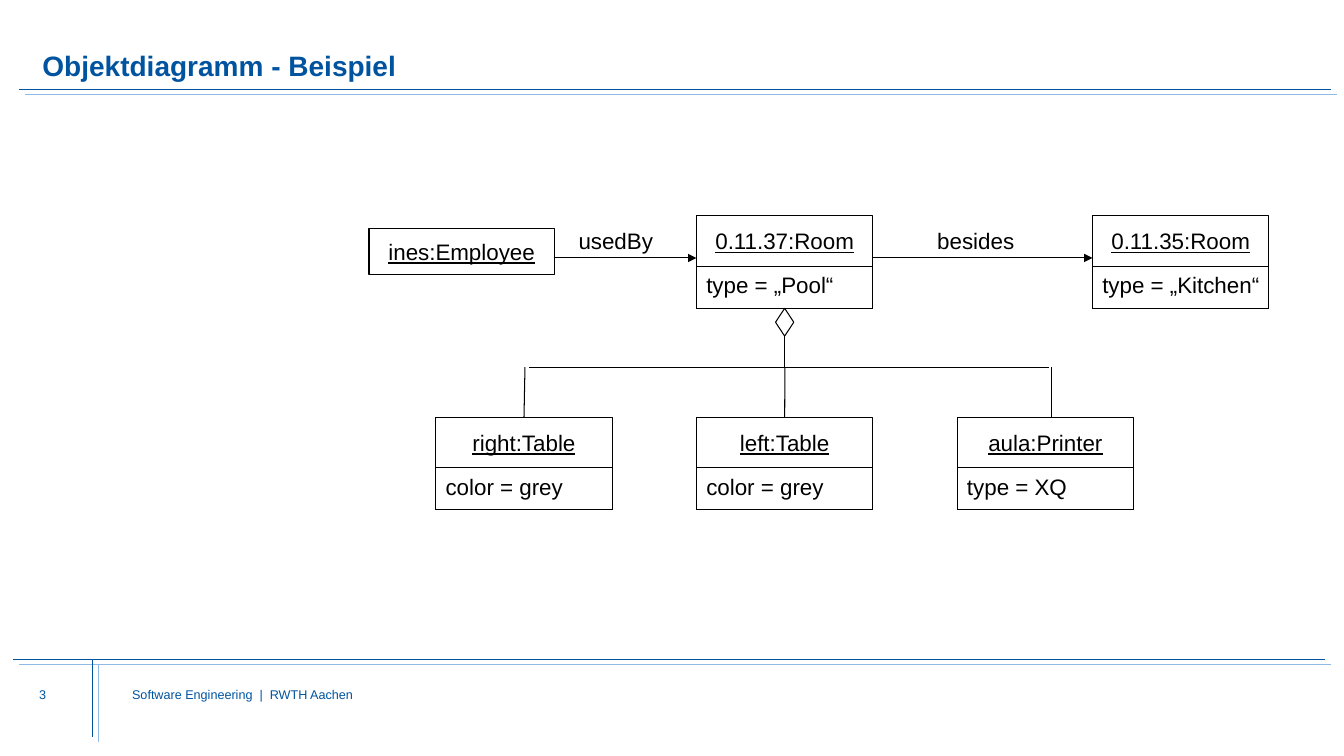
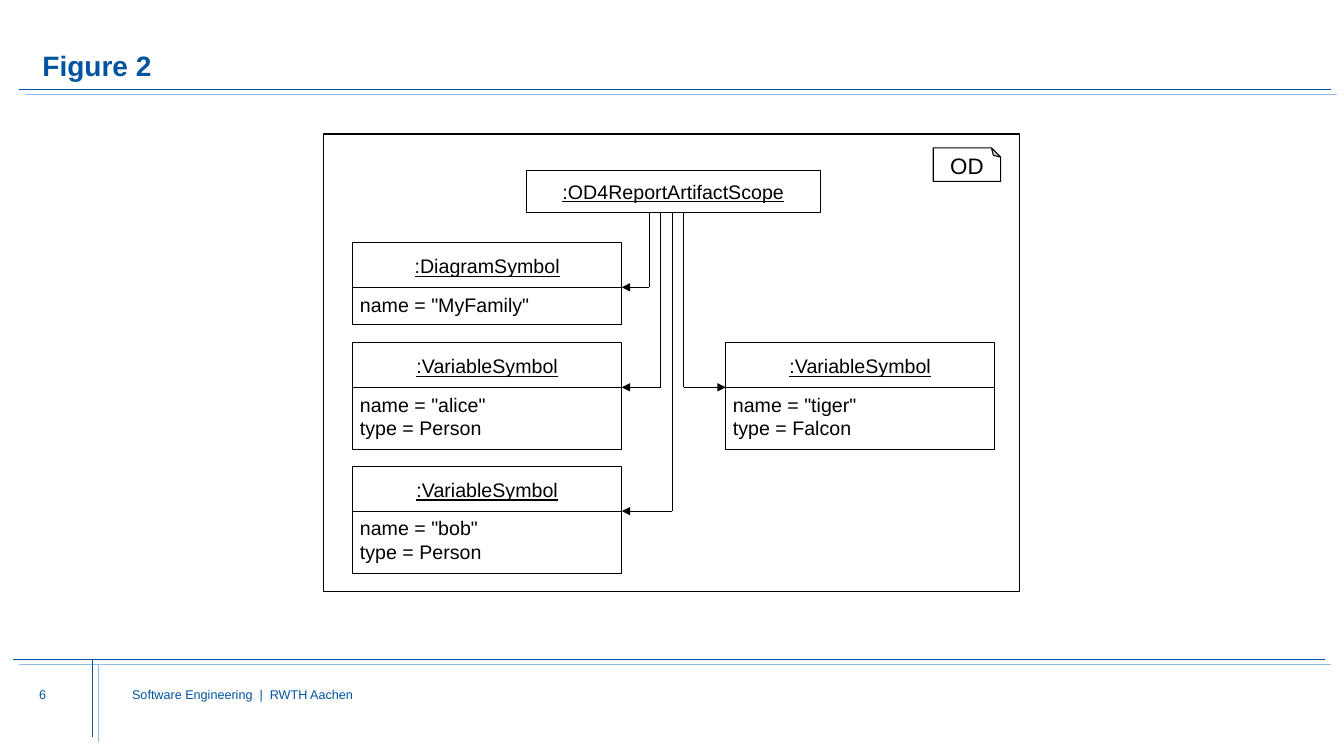
from pptx import Presentation
from pptx.dml.color import RGBColor
from pptx.enum import shapes as kinds, text as txt
from pptx.oxml.ns import qn
from pptx.util import Cm, Pt
from lxml import etree

BLUE = RGBColor(0x00, 0x54, 0x9F)
LIGHT_BLUE = RGBColor(0x8E, 0xBA, 0xE5)
BLACK = RGBColor(0, 0, 0)
WHITE = RGBColor(255, 255, 255)
FONT = "Arial"

# Shared content, all lengths in cm
FOOTER = "Software Engineering  |  RWTH Aachen"
RULES = [(0.48, 2.26, 33.55, 2.26), (0.33, 16.61, 33.38, 16.61),
         (2.34, 16.61, 2.34, 18.57)]
ECHO_X, ECHO_Y = 0.15, 0.13

# Slide 1: rooms, their parts and their links
ROOM_W, ROOM_HEAD, ROOM_BODY = 4.45, 1.27, 1.06
POOL_X, ROOM_Y, PART_Y, PART_PITCH = 17.55, 5.44, 10.52, 6.57
KITCHEN_X = 27.53
EMPLOYEE = ("ines:Employee", 9.3, 5.77, 4.67, 1.14)
ROOMS = [("0.11.37:Room", "type = „Pool“", POOL_X),
         ("0.11.35:Room", "type = „Kitchen“", KITCHEN_X)]
PARTS = [("right:Table", "color = grey", 13.23),
         ("left:Table", "color = grey", 19.78),
         ("aula:Printer", "type = XQ", 26.49)]  # last value: x of the stem
ASSOCIATIONS = [("usedBy", 14.33, 13.97, POOL_X),
                ("besides", 23.37, POOL_X + ROOM_W, KITCHEN_X)]
LINK_Y, LABEL_Y, BRANCH_Y = 6.5, 5.61, 9.25
BRANCH_LEFT, BRANCH_RIGHT = 13.34, 26.44
DIAMOND_W, DIAMOND_H = 0.46, 0.7

# Slide 2: scope and its symbols
FRAME = (8.15, 3.38, 17.55, 11.53)
SCOPE = (":OD4ReportArtifactScope", 13.26, 4.29, 7.42, 1.07)
NOTE = ("OD", 23.52, 3.73, 1.7, 0.84)
SYMBOL_W, SYMBOL_HEAD = 6.78, 1.12
LEFT_X, RIGHT_X = 8.89, 18.29
SYMBOLS = [
    (":DiagramSymbol", ['name = "MyFamily"'], LEFT_X, 6.12, 0.94),
    (":VariableSymbol", ['name = "alice"', "type = Person"], LEFT_X, 8.64, 1.57),
    (":VariableSymbol", ['name = "bob"', "type = Person"], LEFT_X, 11.76, 1.57),
    (":VariableSymbol", ['name = "tiger"', "type = Falcon"], RIGHT_X, 8.64, 1.57),
]
WIRE_X, WIRE_PITCH = 16.36, 0.29


# Drawing helpers
def write(frame, lines, size, color=BLACK, align=txt.PP_ALIGN.LEFT,
          underline=None, bold=None, spacing=None):
    for i, line_text in enumerate(lines):
        para = frame.paragraphs[0] if i == 0 else frame.add_paragraph()
        para.alignment = align
        if spacing:
            para.line_spacing = spacing
        run = para.add_run()
        run.text = line_text
        font = run.font
        font.name, font.size, font.color.rgb = FONT, Pt(size), color
        font.underline, font.bold = underline, bold


def set_insets(frame, left, top, right=0, bottom=0):
    frame.margin_left, frame.margin_top = Cm(left), Cm(top)
    frame.margin_right, frame.margin_bottom = Cm(right), Cm(bottom)


def outline(slide, x, y, w, h, kind=kinds.MSO_SHAPE.RECTANGLE, width=0.75):
    shape = slide.shapes.add_shape(kind, Cm(x), Cm(y), Cm(w), Cm(h))
    shape.shadow.inherit = False
    shape.fill.background()
    shape.line.color.rgb, shape.line.width = BLACK, Pt(width)
    return shape


def line(slide, x1, y1, x2, y2, color=BLACK, width=0.75, arrow=False):
    wire = slide.shapes.add_connector(kinds.MSO_CONNECTOR.STRAIGHT,
                                      Cm(x1), Cm(y1), Cm(x2), Cm(y2))
    wire.line.color.rgb, wire.line.width = color, Pt(width)
    if arrow:
        etree.SubElement(wire.line._get_or_add_ln(), qn("a:tailEnd"), type="triangle")
    etree.SubElement(wire._element.spPr, qn("a:effectLst"))
    return wire


def label(slide, words, x, y, w, h, size, color=BLACK, inset=None):
    box = slide.shapes.add_textbox(Cm(x), Cm(y), Cm(w), Cm(h))
    box.text_frame.word_wrap = True
    if inset is not None:
        set_insets(box.text_frame, inset, inset)
    write(box.text_frame, [words], size, color)
    return box


def uml_object(slide, name, x, y, w, head, size, attributes=(), body=0, inset=0.25):
    """Draw an object box, with an attribute compartment if it has attributes."""
    card = outline(slide, x, y, w, head + body)
    frame = card.text_frame
    frame.word_wrap = True
    set_insets(frame, 0, 0.29 if attributes else 0)
    frame.vertical_anchor = (txt.MSO_ANCHOR.TOP if attributes
                             else txt.MSO_ANCHOR.MIDDLE)
    write(frame, [name], size, align=txt.PP_ALIGN.CENTER, underline=True)
    if attributes:
        frame = outline(slide, x, y + head, w, body).text_frame
        frame.word_wrap = True
        set_insets(frame, inset, 0.13)
        frame.vertical_anchor = txt.MSO_ANCHOR.TOP
        write(frame, attributes, size)
    return card


# Shared layout
def furnish_layout(layout, slide):
    """Draw rules and footer on the slide, then move them to its layout."""
    parts = []
    for x1, y1, x2, y2 in RULES:
        parts.append(line(slide, x1, y1, x2, y2, BLUE, 0.5))
        parts.append(line(slide, x1 + ECHO_X, y1 + ECHO_Y, x2 + ECHO_X,
                          y2 + ECHO_Y, LIGHT_BLUE, 0.5))
    parts.append(label(slide, FOOTER, 3.33, 17.3, 19.46, 1.75, 9, BLUE, inset=0))
    for number, part in enumerate(parts, 100):
        next(part._element.iter(qn("p:cNvPr"))).set("id", str(number))
        layout.shapes._spTree.append(part._element)


def new_slide(deck, heading, number):
    slide = deck.slides.add_slide(deck.slide_layouts[5])
    title = slide.shapes.title
    title.left, title.top, title.width, title.height = Cm(1.07), Cm(0.58), Cm(31.9), Cm(1.5)
    frame = title.text_frame
    frame.auto_size = txt.MSO_AUTO_SIZE.NONE
    frame.vertical_anchor = txt.MSO_ANCHOR.BOTTOM
    set_insets(frame, 0, 0)
    write(frame, [heading], 20, BLUE, bold=True, spacing=0.9)
    label(slide, number, 0.99, 17.3, 2.03, 1.09, 9, BLUE, inset=0)
    return slide


def draw_rooms(slide):
    name, x, y, w, h = EMPLOYEE
    uml_object(slide, name, x, y, w, h, 16)
    pool, _ = [uml_object(slide, name, x, ROOM_Y, ROOM_W, ROOM_HEAD, 16, [attribute],
                          ROOM_BODY) for name, attribute, x in ROOMS]
    for name, label_x, start, end in ASSOCIATIONS:
        line(slide, start, LINK_Y, end, LINK_Y, arrow=True)
        label(slide, name, label_x, LABEL_Y, 2.5, 0.94, 16)

    # Aggregation tree below the pool room
    middle = POOL_X + ROOM_W / 2
    diamond = outline(slide, middle - DIAMOND_W / 2, ROOM_Y + ROOM_HEAD + ROOM_BODY,
                      DIAMOND_W, DIAMOND_H, kinds.MSO_SHAPE.DIAMOND)
    diamond.top = pool.top + pool.height
    trunk = line(slide, middle, 8.47, middle, BRANCH_Y)
    trunk.begin_connect(diamond, 2)
    line(slide, BRANCH_LEFT, BRANCH_Y, BRANCH_RIGHT, BRANCH_Y)
    for i, (name, attribute, stem_x) in enumerate(PARTS):
        x = POOL_X + (i - 1) * PART_PITCH
        part = uml_object(slide, name, x, PART_Y, ROOM_W, ROOM_HEAD, 16,
                          [attribute], ROOM_BODY)
        stem = line(slide, stem_x, BRANCH_Y, stem_x, PART_Y)
        if abs(stem_x - x - ROOM_W / 2) < 0.05:
            stem.end_connect(part, 0)


def draw_symbols(slide):
    outline(slide, *FRAME, width=1)
    name, x, y, w, h = SCOPE
    uml_object(slide, name, x, y, w, h, 14)
    for i, (name, attributes, x, top, body) in enumerate(SYMBOLS):
        uml_object(slide, name, x, top, SYMBOL_W, SYMBOL_HEAD, 14, attributes, body,
                   inset=0.18)
        wire_x, turn_y = WIRE_X + i * WIRE_PITCH, top + SYMBOL_HEAD
        edge = x + SYMBOL_W if x < wire_x else x
        line(slide, wire_x, y + h, wire_x, turn_y)
        line(slide, wire_x, turn_y, edge, turn_y, arrow=True)

    # Note with its folded corner turned to the top, text kept upright
    word, *place = NOTE
    note = outline(slide, *place, kind=kinds.MSO_SHAPE.FOLDED_CORNER)
    note.fill.solid()
    note.fill.fore_color.rgb = WHITE
    properties = note._element.spPr
    properties.find(qn("a:xfrm")).set("flipV", "1")
    guides = next(properties.iter(qn("a:avLst")))
    for guide in list(guides):
        guides.remove(guide)
    etree.SubElement(guides, qn("a:gd"), name="adj", fmla="val 27600")
    frame = note.text_frame
    frame.word_wrap = False
    frame.vertical_anchor = txt.MSO_ANCHOR.MIDDLE
    frame._txBody.bodyPr.set("rot", "10800000")
    write(frame, [word], 16, align=txt.PP_ALIGN.CENTER, spacing=0.7)


def main():
    deck = Presentation()
    deck.slide_width, deck.slide_height = Cm(33.87), Cm(19.05)
    rooms = new_slide(deck, "Objektdiagramm - Beispiel", "3")
    furnish_layout(rooms.slide_layout, rooms)
    draw_rooms(rooms)
    draw_symbols(new_slide(deck, "Figure 2", "6"))
    deck.save("out.pptx")


if __name__ == "__main__":
    main()
